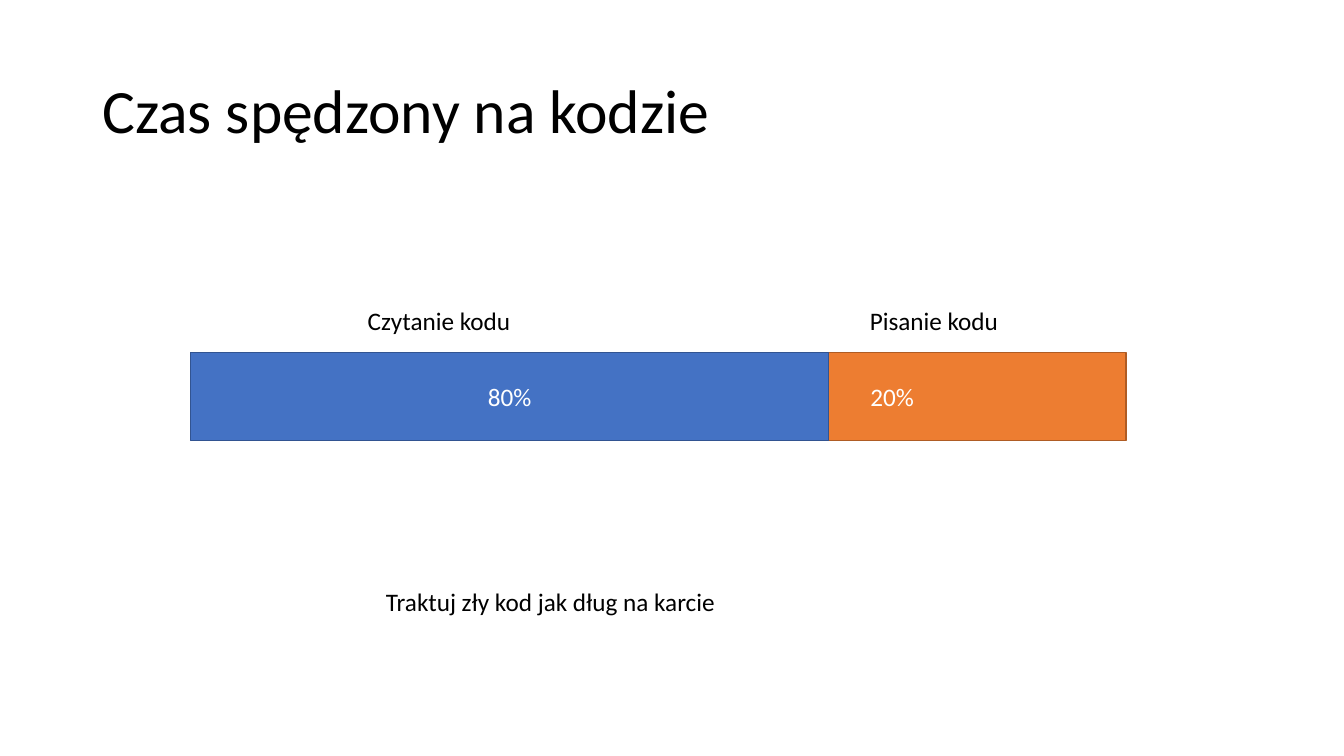
from pptx import Presentation
from pptx.dml.color import RGBColor
from pptx.enum.shapes import MSO_SHAPE
from pptx.enum.text import MSO_ANCHOR, PP_ALIGN
from pptx.util import Pt

RECTANGLE = MSO_SHAPE.RECTANGLE
TOP, MIDDLE = MSO_ANCHOR.TOP, MSO_ANCHOR.MIDDLE
LEFT, CENTER = PP_ALIGN.LEFT, PP_ALIGN.CENTER

FONT = "Calibri"
BLACK, WHITE = "000000", "FFFFFF"
TITLE = "Czas spędzony na kodzie"
CONCLUSION = "Traktuj zły kod jak dług na karcie"
BARS = [
    ("20%", 470.2, 334.1, "ED7D31", "AF5C24"),
    ("80%", 136.1, 455.8, "4472C4", "325491"),
]
LABELS = [("Czytanie kodu", 255.6), ("Pisanie kodu", 614.2)]
BAR_TOP, BAR_HEIGHT = 252, 62.8
LABEL_TOP, LABEL_WIDTH, LINE_HEIGHT = 214.6, 125.3, 29.1


def color(value):
    return RGBColor.from_string(value)


def write(shape, text, size, text_color, anchor=TOP, alignment=LEFT, spacing=1.0):
    frame = shape.text_frame
    frame.word_wrap = True
    frame.vertical_anchor = anchor
    paragraph = frame.paragraphs[0]
    paragraph.alignment = alignment
    paragraph.line_spacing = spacing
    run = paragraph.add_run()
    run.text = text
    run.font.name = FONT
    run.font.size = Pt(size)
    run.font.color.rgb = color(text_color)


def add_text(slide, text, left, top, width, height, size=18, **layout):
    box = slide.shapes.add_textbox(Pt(left), Pt(top), Pt(width), Pt(height))
    write(box, text, size, BLACK, **layout)


def add_bar(slide, text, left, width, fill, outline):
    bar = slide.shapes.add_shape(RECTANGLE, Pt(left), Pt(BAR_TOP), Pt(width), Pt(BAR_HEIGHT))
    bar.shadow.inherit = False
    bar.fill.solid()
    bar.fill.fore_color.rgb = color(fill)
    bar.line.color.rgb = color(outline)
    bar.line.width = Pt(1)
    write(bar, text, 18, WHITE, MIDDLE, CENTER)


def main():
    presentation = Presentation()
    presentation.slide_width, presentation.slide_height = Pt(960), Pt(540)
    slide = presentation.slides.add_slide(presentation.slide_layouts[6])
    add_text(slide, TITLE, 66, 28.8, 828, 104.4, size=44, anchor=MIDDLE, spacing=0.9)
    for bar in BARS:
        add_bar(slide, *bar)
    for text, left in LABELS:
        add_text(slide, text, left, LABEL_TOP, LABEL_WIDTH, LINE_HEIGHT)
    add_text(slide, CONCLUSION, 268.6, 415.4, 545.8, LINE_HEIGHT)
    presentation.save("out.pptx")


if __name__ == "__main__":
    main()
